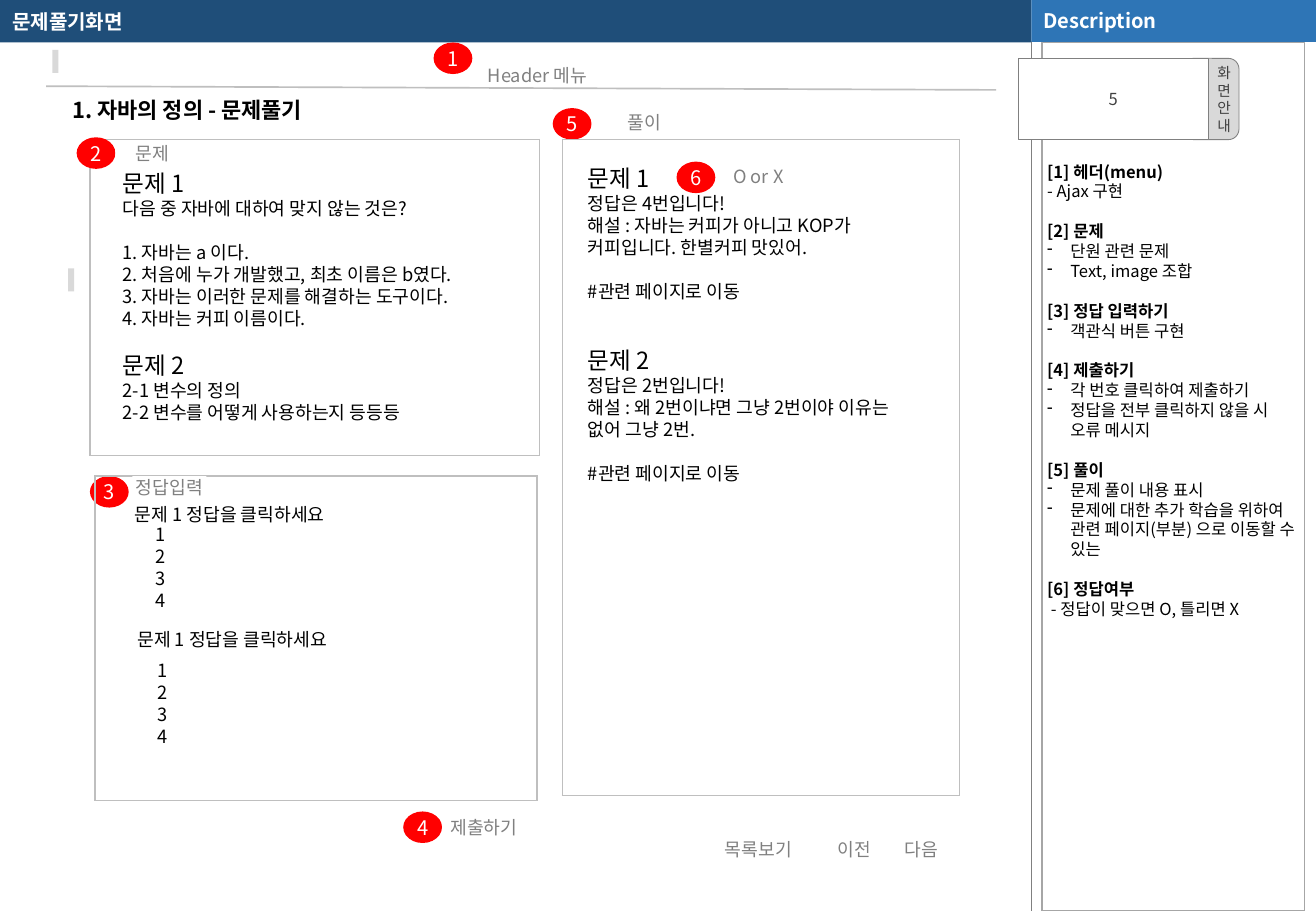
from lxml.etree import SubElement
from pptx import Presentation
from pptx.dml.color import RGBColor
from pptx.enum.shapes import MSO_CONNECTOR, MSO_SHAPE
from pptx.enum.text import MSO_ANCHOR, MSO_AUTO_SIZE, PP_ALIGN
from pptx.oxml.ns import qn
from pptx.util import Pt

FONT = "Noto Sans CJK KR"
NAVY = RGBColor(0x1F, 0x4E, 0x79)
BLUE = RGBColor(0x2E, 0x75, 0xB6)
RED = RGBColor(0xFF, 0x00, 0x00)
WHITE = RGBColor(0xFF, 0xFF, 0xFF)
BLACK = RGBColor(0x00, 0x00, 0x00)
DARK = RGBColor(0x40, 0x40, 0x40)
GRAY = RGBColor(0x80, 0x80, 0x80)
MIDDLE_GRAY = RGBColor(0xA6, 0xA6, 0xA6)
SILVER = RGBColor(0xBF, 0xBF, 0xBF)
PALE = RGBColor(0xD9, 0xD9, 0xD9)
LEFT, CENTER, RIGHT = PP_ALIGN.LEFT, PP_ALIGN.CENTER, PP_ALIGN.RIGHT
TOP, MIDDLE = MSO_ANCHOR.TOP, MSO_ANCHOR.MIDDLE
BODY = 10.8
NOTE = 9.8
LEADING = 1.2
HANGING = 13.7
DEFAULT_INSETS = (7.2, 3.6, 7.2, 3.6)
NO_INSETS = (0, 0, 0, 0)


def add_para(para, text, size=BODY, color=BLACK, bold=False, align=LEFT,
             leading=LEADING, before=0, bullet=None, indent=0):
    """Fill one paragraph with formatted text."""
    para.alignment = align
    para.line_spacing = Pt(round(size * leading, 1))
    para.space_before = Pt(before)
    properties = para._p.get_or_add_pPr()
    if indent:
        properties.set("marL", str(Pt(indent)))
    if bullet:
        properties.set("marL", str(Pt(HANGING)))
        properties.set("indent", str(-Pt(HANGING)))
        SubElement(properties, qn("a:buChar")).set("char", bullet)
    span = para.add_run()
    span.text = text
    font = span.font
    font.name, font.size, font.bold = FONT, Pt(size), bold
    font.color.rgb = color
    SubElement(span._r.get_or_add_rPr(), qn("a:ea")).set("typeface", FONT)


class Storyboard:
    def __init__(self, width, height):
        self.deck = Presentation()
        self.deck.slide_width, self.deck.slide_height = Pt(width), Pt(height)
        self.page = self.deck.slides.add_slide(self.deck.slide_layouts[5])
        self.shapes = self.page.shapes

    def fill_text(self, box, lines, anchor=TOP, insets=NO_INSETS, wrap=True, **style):
        """Each line is a string, or a string with its own format."""
        frame = box.text_frame
        frame.auto_size = MSO_AUTO_SIZE.NONE
        frame.word_wrap, frame.vertical_anchor = wrap, anchor
        (frame.margin_left, frame.margin_top,
         frame.margin_right, frame.margin_bottom) = map(Pt, insets)
        for index, line in enumerate(lines):
            text, own = (line, {}) if isinstance(line, str) else line
            para = frame.add_paragraph() if index else frame.paragraphs[0]
            add_para(para, text, **{**style, **own})

    def title(self, text, place, **style):
        box = self.shapes.title
        box.left, box.top, box.width, box.height = map(Pt, place)
        self.fill_text(box, [text], MIDDLE, DEFAULT_INSETS, **style)
        box._element.getparent().append(box._element)  # in front of the bar

    def shape(self, place, fill=None, line=None, weight=1, kind=MSO_SHAPE.RECTANGLE):
        box = self.shapes.add_shape(kind, *map(Pt, place))
        box.shadow.inherit = False
        if fill is None:
            box.fill.background()
        else:
            box.fill.solid()
            box.fill.fore_color.rgb = fill
        if line is None:
            box.line.fill.background()
        else:
            box.line.color.rgb = line
            box.line.width = Pt(weight)
        return box

    def text(self, place, lines, **style):
        self.fill_text(self.shapes.add_textbox(*map(Pt, place)), lines, **style)

    def block(self, place, lines, **style):
        self.fill_text(self.shape(place, WHITE), lines, **style)

    def badge(self, number, left, top):
        box = self.shape((left, top, 23, 18.7), RED, kind=MSO_SHAPE.OVAL)
        self.fill_text(box, [number], MIDDLE, wrap=False, size=11.9, color=WHITE, align=CENTER)

    def line(self, ends, color, weight):
        rule = self.shapes.add_connector(MSO_CONNECTOR.STRAIGHT, *map(Pt, ends))
        rule.line.color.rgb, rule.line.width = color, Pt(weight)
        SubElement(rule._element.spPr, qn("a:effectLst"))

    def panel(self, place):
        """One-cell table used as an outlined area."""
        table = self.shapes.add_table(1, 1, *map(Pt, place)).table
        table.first_row = table.horz_banding = False
        cell = table.cell(0, 0)
        properties = cell._tc.get_or_add_tcPr()
        for side in ("a:lnL", "a:lnR", "a:lnT", "a:lnB"):
            border = SubElement(properties, qn(side), w=str(Pt(1)))
            paint = SubElement(border, qn("a:solidFill"))
            SubElement(paint, qn("a:srgbClr"), val=str(SILVER))
        cell.fill.background()


def main():
    board = Storyboard(780, 540)
    gap = {"before": BODY * LEADING}
    heading = {"size": 14}
    next_heading = {**heading, **gap}
    topic = {"bold": True, "before": NOTE * LEADING}
    item = {"bullet": "-"}

    # Top bars
    board.shape((0, 0, 611.3, 25.2), NAVY)
    board.line((611.3, 24.5, 611.3, 540), GRAY, 0.25)
    board.fill_text(board.shape((611.3, 0, 168.7, 24.8), BLUE), ["Description"], MIDDLE,
                    DEFAULT_INSETS, size=11.9, color=WHITE, bold=True)
    board.title("문제풀기화면", (0, 0, 594, 25.2), size=11.9, color=WHITE, bold=True)

    # Header of the screen
    board.line((27.4, 51.1, 590.4, 53.3), SILVER, 1)
    for left, top in ((31, 29.5), (40.3, 159.1)):
        board.shape((left, top, 3.6, 13.7), PALE)
    board.text((36, 54, 198.7, 23), ["1. 자바의 정의 - 문제풀기"],
               insets=DEFAULT_INSETS, size=13, bold=True)
    board.text((33.1, 28.1, 571, 24.5), ["Header 메뉴"], insets=DEFAULT_INSETS,
               color=GRAY, align=CENTER, leading=1.8)

    # Description column
    column = board.shape((617.8, 25.2, 155.5, 514.8), line=MIDDLE_GRAY)
    board.fill_text(column, [
        ("[1] 헤더(menu)", {"bold": True}),
        "- Ajax 구현",
        ("[2] 문제", topic),
        ("단원 관련 문제", item),
        ("Text, image 조합", item),
        ("[3] 정답 입력하기", topic),
        ("객관식 버튼 구현", item),
        ("[4] 제출하기", topic),
        ("각 번호 클릭하여 제출하기", item),
        ("정답을 전부 클릭하지 않을 시 오류 메시지", item),
        ("[5] 풀이", topic),
        ("문제 풀이 내용 표시", item),
        ("문제에 대한 추가 학습을 위하여 관련 페이지(부분) 으로 이동할 수 있는", item),
        ("[6] 정답여부", topic),
        ("- 정답이 맞으면 O, 틀리면 X", {"indent": 2.2}),
    ], insets=(2.9, 70.5, 2.9, 0), size=NOTE)

    # Screen guide tab
    tab = board.shape((701.3, 34.6, 33.1, 48.2), PALE, GRAY, 0.5, MSO_SHAPE.ROUNDED_RECTANGLE)
    tab.adjustments[0] = 0.19
    board.fill_text(tab, list("화면안내"), MIDDLE, (0, 0, 2.9, 0), False,
                    size=8.7, color=DARK, align=RIGHT)
    card = board.shape((603.4, 34.6, 113, 48.2), WHITE, GRAY, 0.5)
    board.fill_text(card, ["5"], MIDDLE, (2.9,) * 4, False, size=NOTE, color=DARK, align=CENTER)

    # Questions
    board.panel((53.3, 82.8, 266.4, 187.2))
    board.block((72.7, 100.1, 215.3, 152.6), [
        ("문제 1", heading),
        "다음 중 자바에 대하여 맞지 않는 것은?",
        ("1. 자바는 a 이다.", gap),
        "2. 처음에 누가 개발했고, 최초 이름은 b였다.",
        "3. 자바는 이러한 문제를 해결하는 도구이다.",
        "4. 자바는 커피 이름이다.",
        ("문제 2", next_heading),
        "2-1 변수의 정의",
        "2-2 변수를 어떻게 사용하는지 등등등",
    ])
    for number, left, top in (("1", 257, 25.2), ("2", 45.4, 81.4),
                              ("5", 327.6, 64.1), ("3", 53.3, 282.2)):
        board.badge(number, left, top)

    # Solution and answer areas
    board.panel((333.4, 82.8, 235.4, 388.8))
    board.panel((56.2, 282.2, 262.1, 192.2))
    for left, top, choices_top in ((79.9, 298.1, 310.3), (81.4, 372.2, 391)):
        board.block((left, top, 215.3, 13), ["문제 1 정답을 클릭하세요"])
        board.block((left + 12.2, choices_top, 20.2, 52.6), list("1234"))
    board.block((348.5, 97.2, 189.4, 191.5), [
        ("문제 1", heading),
        "정답은 4번입니다!",
        "해설 : 자바는 커피가 아니고 KOP가 커피입니다. 한별커피 맛있어.",
        ("#관련 페이지로 이동", gap),
        ("문제 2", {**heading, "before": 2 * gap["before"]}),
        "정답은 2번입니다!",
        "해설 : 왜 2번이냐면 그냥 2번이야 이유는 없어 그냥 2번.",
        ("#관련 페이지로 이동", gap),
    ])

    # Area labels and buttons
    caption = {"color": GRAY, "align": CENTER}
    for text, left, top, width in (
            ("문제", 68.4, 84.2, 43.9), ("정답입력", 78.5, 282.2, 43.9),
            ("제출하기", 255.6, 483.8, 62.6), ("목록보기", 418.3, 496.8, 62.6),
            ("이전", 475.2, 496.8, 62.6), ("다음", 514.8, 496.8, 62.6)):
        board.block((left, top, width, 13), [text], **caption)
    for text, left, top in (("풀이", 350.6, 66.2), ("O or X", 418.3, 97.9)):
        board.text((left, top, 62.6, 13), [text], **caption)
    board.badge("4", 239, 481)
    board.badge("6", 401, 95.8)

    board.deck.save("out.pptx")


if __name__ == "__main__":
    main()
